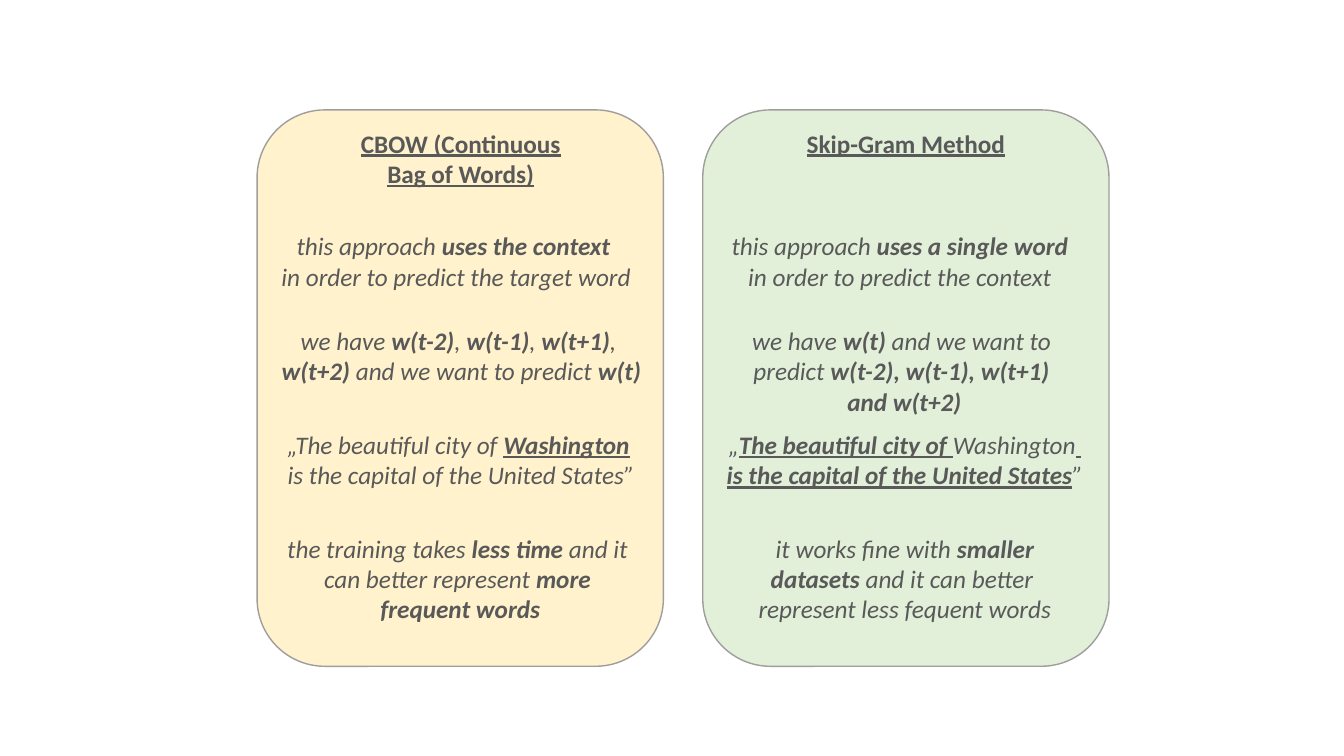
"""Build a slide that compares the CBOW and Skip-Gram methods in two cards."""
from dataclasses import dataclass

from pptx import Presentation
from pptx.dml.color import RGBColor
from pptx.enum.shapes import MSO_SHAPE
from pptx.enum.text import MSO_AUTO_SIZE, PP_ALIGN
from pptx.slide import Slide
from pptx.util import Inches, Pt

CARD_TOP, CARD_WIDTH, CARD_HEIGHT = 1.09, 4.03, 5.52
TITLE_TOP, APPROACH_TOP, FORMULA_TOP, EXAMPLE_TOP, RESULT_TOP = 1.22, 2.24, 3.18, 4.21, 5.24
LINE_HEIGHT, TEXT_MARGINS = 0.3, 0.1
TEXT_COLOR, BORDER_COLOR = "595959", "9F9E9C"

BASE_FORMAT = {"name": "Calibri", "size": Pt(18)}
FORMATS = {
    "title": {"bold": True, "underline": True},
    "plain": {"italic": True},
    "strong": {"italic": True, "bold": True},
    "marked": {"italic": True, "bold": True, "underline": True},
}


@dataclass(frozen=True)
class Span:
    text: str
    style: str = "plain"


@dataclass(frozen=True)
class Note:
    left: float
    top: float
    width: float
    lines: list[list[Span]]
    rows: int
    wrap: bool = False


@dataclass(frozen=True)
class Card:
    left: float
    fill: str
    notes: list[Note]


def strong(text: str) -> Span:
    """Return a bold italic span."""
    return Span(text, "strong")


def marked(text: str) -> Span:
    """Return a bold, italic and underlined span."""
    return Span(text, "marked")


CARDS = [
    Card(2.55, "FFF2CC", [
        Note(3.34, TITLE_TOP, 2.46, [[Span("CBOW (Continuous Bag of Words)", "title")]], 2, True),
        Note(2.67, APPROACH_TOP, 3.71, [
            [Span("this approach "), strong("uses the context ")],
            [Span("in order to predict the target word")],
        ], 2),
        Note(2.67, FORMULA_TOP, 3.81, [
            [Span("we have "), strong("w(t-2)"), Span(", "), strong("w(t-1)"),
             Span(", "), strong("w(t+1)"), Span(", ")],
            [strong("w(t+2) "), Span("and we want to predict "), strong("w(t)")],
        ], 2),
        Note(1.24, EXAMPLE_TOP, 6.67, [
            [Span("„The beautiful city of "), marked("Washington"), Span(" ")],
            [Span("is the capital of the United States”")],
        ], 2, True),
        Note(2.72, RESULT_TOP, 3.69, [
            [Span("the training takes "), strong("less time "), Span("and it ")],
            [Span("can better represent "), strong("more ")],
            [strong("frequent words")],
        ], 3),
    ]),
    Card(6.97, "E2F0D9", [
        Note(7.8, TITLE_TOP, 2.37, [[Span("Skip-Gram Method", "title")]], 1, True),
        Note(7.07, APPROACH_TOP, 3.71, [
            [Span("this approach "), strong("uses a single word")],
            [Span("in order to predict the context")],
        ], 2),
        Note(7.34, FORMULA_TOP, 3.26, [
            [Span("we have "), strong("w(t)"), Span(" and we want to ")],
            [Span("predict "), strong("w(t-2), w(t-1), w(t+1) ")],
            [strong("and w(t+2)")],
        ], 3),
        Note(5.64, EXAMPLE_TOP, 6.67, [
            [Span("„"), marked("The beautiful city of "), Span("Washington"), marked(" ")],
            [marked("is the capital of the United States"), Span("”")],
        ], 2, True),
        Note(7.41, RESULT_TOP, 3.13, [
            [Span("it works fine with "), strong("smaller")],
            [strong("datasets"), Span(" and it can better ")],
            [Span("represent less fequent words")],
        ], 3),
    ]),
]


def color(value: str) -> RGBColor:
    """Return the colour for a hex string."""
    return RGBColor.from_string(value)


def draw_card(page: Slide, card: Card) -> None:
    """Draw the rounded background of a card."""
    shape = page.shapes.add_shape(
        MSO_SHAPE.ROUNDED_RECTANGLE, Inches(card.left), Inches(CARD_TOP),
        Inches(CARD_WIDTH), Inches(CARD_HEIGHT))
    shape.shadow.inherit = False
    shape.fill.solid()
    shape.fill.fore_color.rgb = color(card.fill)
    shape.line.color.rgb = color(BORDER_COLOR)
    shape.line.width = Pt(1)


def draw_note(page: Slide, note: Note) -> None:
    """Draw one centred text box, a paragraph for each line."""
    box = page.shapes.add_textbox(
        Inches(note.left), Inches(note.top), Inches(note.width),
        Inches(note.rows * LINE_HEIGHT + TEXT_MARGINS))
    frame = box.text_frame
    frame.word_wrap = note.wrap
    frame.auto_size = MSO_AUTO_SIZE.SHAPE_TO_FIT_TEXT
    for index, line in enumerate(note.lines):
        para = frame.add_paragraph() if index else frame.paragraphs[0]
        para.alignment = PP_ALIGN.CENTER
        for span in line:
            run = para.add_run()
            run.text = span.text
            run.font.color.rgb = color(TEXT_COLOR)
            for name, value in (BASE_FORMAT | FORMATS[span.style]).items():
                setattr(run.font, name, value)


def main() -> None:
    """Create the deck and save it."""
    deck = Presentation()
    deck.slide_width, deck.slide_height = Inches(13.33), Inches(7.5)
    page = deck.slides.add_slide(deck.slide_layouts[6])
    for card in CARDS:
        draw_card(page, card)
    for card in CARDS:
        for note in card.notes:
            draw_note(page, note)
    deck.save("out.pptx")


if __name__ == "__main__":
    main()
